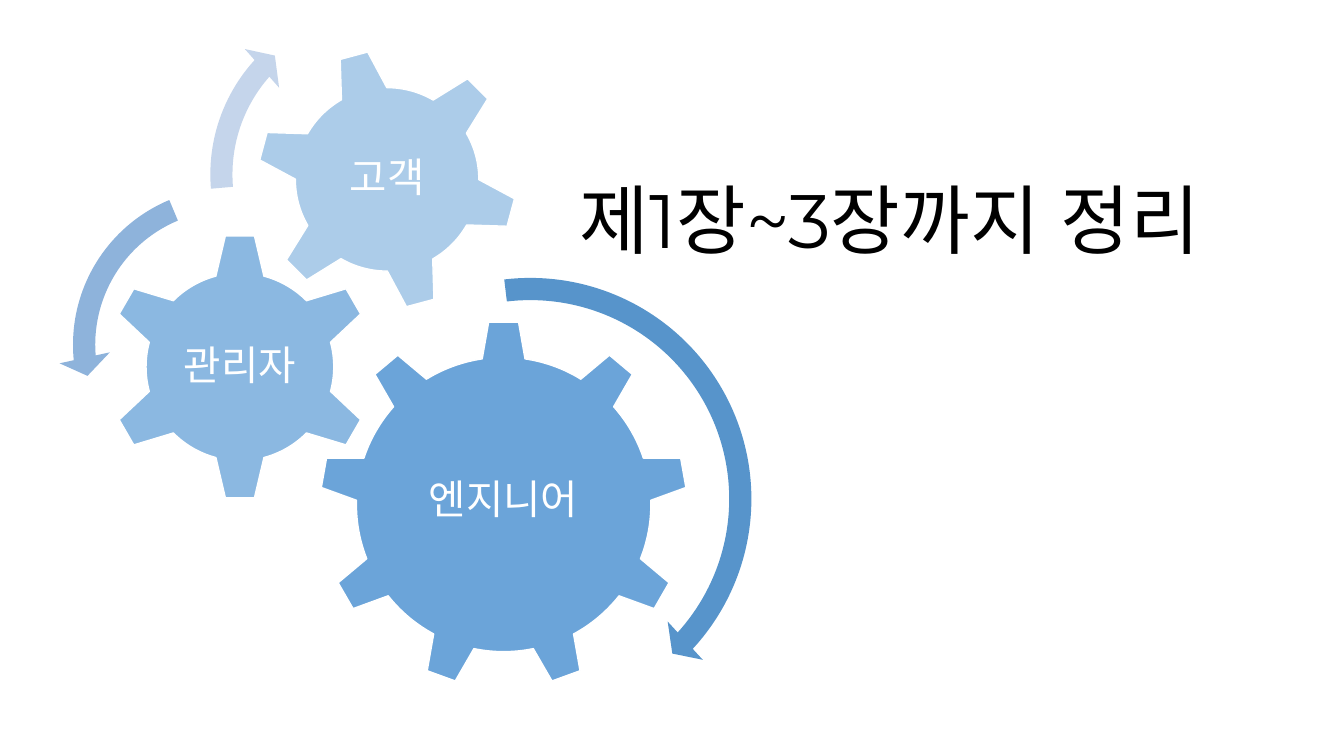
from dataclasses import dataclass

from lxml import etree
from pptx import Presentation
from pptx.dml.color import RGBColor
from pptx.enum.shapes import MSO_SHAPE
from pptx.enum.text import MSO_ANCHOR, MSO_AUTO_SIZE, PP_ALIGN
from pptx.oxml.ns import qn
from pptx.util import Inches, Pt

GEAR_6, GEAR_9 = MSO_SHAPE.GEAR_6, MSO_SHAPE.GEAR_9
ARROW, LEFT_ARROW = MSO_SHAPE.CIRCULAR_ARROW, MSO_SHAPE.LEFT_CIRCULAR_ARROW
CENTER = PP_ALIGN.CENTER
BOTTOM, MIDDLE = MSO_ANCHOR.BOTTOM, MSO_ANCHOR.MIDDLE
NO_AUTOFIT = MSO_AUTO_SIZE.NONE
TITLE_ONLY = 5
ANGLE_UNIT = 60000 / 100000  # adjustment units in one degree


@dataclass(frozen=True)
class Theme:
    """Colours, fonts and type sizes of the slide."""
    gear: str = "5B9BD5"
    white: str = "FFFFFF"
    black: str = "000000"
    latin_font: str = "Montserrat"
    korean_font: str = "Noto Sans CJK KR"
    title_size: int = 54
    label_size: int = 29
    line_spacing: float = 0.9


@dataclass(frozen=True)
class Gear:
    """A toothed wheel with its role and the size of its label."""
    role: str
    kind: MSO_SHAPE
    left: float
    top: float
    size: float
    opacity: int
    label_top: float
    label_width: float
    label_height: float
    rotation: int = 0


@dataclass(frozen=True)
class TurnArrow:
    """A curved arrow; its angles are in degrees."""
    kind: MSO_SHAPE
    left: float
    top: float
    size: float
    color: str
    thickness: float
    head_angle: float
    end_angle: float
    start_angle: float
    head_width: float


THEME = Theme()
GEARS = (
    Gear("엔지니어", GEAR_9, 3.17, 3.18, 3.65, 90, 4.03, 2.18, 1.88),
    Gear("관리자", GEAR_6, 1.05, 2.31, 2.66, 70, 2.99, 1.32, 1.31),
    Gear("고객", GEAR_6, 2.54, 0.48, 2.6, 50, 1.05, 1.46, 1.46, rotation=345),
)
ARROWS = (
    TurnArrow(ARROW, 2.92, 2.61, 4.68, "5794CB", 0.047, 4.98, 42.47, 263.23, 0.055),
    TurnArrow(LEFT_ARROW, 0.58, 1.72, 3.4, "8EB3DB", 0.065, 7.17, 174.82, 247.3, 0.075),
    TurnArrow(ARROW, 1.94, -0.1, 3.66, "C5D5EB", 0.06, 6.57, 221.9, 175.14, 0.07),
)


def write_text(frame, text: str, size: int, color: str, font: str, anchor) -> None:
    """Write one centred line of Korean text into a frame."""
    frame.word_wrap = True
    frame.auto_size = NO_AUTOFIT
    frame.vertical_anchor = anchor
    paragraph = frame.paragraphs[0]
    paragraph.alignment = CENTER
    paragraph.line_spacing = THEME.line_spacing
    run = paragraph.add_run()
    run.text = text
    run.font.size = Pt(size)
    run.font.color.rgb = RGBColor.from_string(color)
    run.font.name = font
    properties = run.font._element
    properties.set("lang", "ko-KR")
    etree.SubElement(properties, qn("a:ea")).set("typeface", THEME.korean_font)


def add_square_shape(slide, item: Gear | TurnArrow, color: str):
    """Add a filled, shadowless preset shape in a square frame."""
    size = Inches(item.size)
    shape = slide.shapes.add_shape(
        item.kind, Inches(item.left), Inches(item.top), size, size)
    shape.shadow.inherit = False
    shape.fill.solid()
    shape.fill.fore_color.rgb = RGBColor.from_string(color)
    return shape


def add_gear(slide, gear: Gear) -> None:
    """Draw a translucent gear and an upright label over its middle."""
    shape = add_square_shape(slide, gear, THEME.gear)
    shape.rotation = gear.rotation
    shape.line.color.rgb = RGBColor.from_string(THEME.white)
    shape.line.width = Pt(1)
    fill_color = shape._element.spPr.find(qn("a:solidFill"))[0]
    etree.SubElement(fill_color, qn("a:alpha")).set("val", str(gear.opacity * 1000))

    label_left = gear.left + (gear.size - gear.label_width) / 2
    label = slide.shapes.add_textbox(
        Inches(label_left), Inches(gear.label_top),
        Inches(gear.label_width), Inches(gear.label_height))
    frame = label.text_frame
    frame.margin_left = frame.margin_right = Inches(0.04)
    frame.margin_top = frame.margin_bottom = Inches(0.04)
    write_text(frame, gear.role, THEME.label_size, THEME.white,
               THEME.korean_font, MIDDLE)


def add_turn_arrow(slide, arrow: TurnArrow) -> None:
    """Draw the arrow that shows which way a gear turns."""
    shape = add_square_shape(slide, arrow, arrow.color)
    shape.line.fill.background()
    angles = (arrow.head_angle, arrow.end_angle, arrow.start_angle)
    values = (arrow.thickness, *(angle * ANGLE_UNIT for angle in angles),
              arrow.head_width)
    for index, value in enumerate(values):
        shape.adjustments[index] = value


def add_title(slide) -> None:
    """Place and format the title placeholder."""
    title = slide.shapes.title
    title.left, title.top = Inches(4.84), Inches(1.18)
    title.width, title.height = Inches(7.97), Inches(1.5)
    write_text(title.text_frame, "제1장~3장까지 정리", THEME.title_size,
               THEME.black, THEME.latin_font, BOTTOM)


def main() -> None:
    """Build the slide and save it."""
    presentation = Presentation()
    presentation.slide_width = Inches(13.33)
    presentation.slide_height = Inches(7.5)
    slide = presentation.slides.add_slide(presentation.slide_layouts[TITLE_ONLY])
    add_title(slide)
    for gear in GEARS:
        add_gear(slide, gear)
    for arrow in ARROWS:
        add_turn_arrow(slide, arrow)
    presentation.save("out.pptx")


main()
